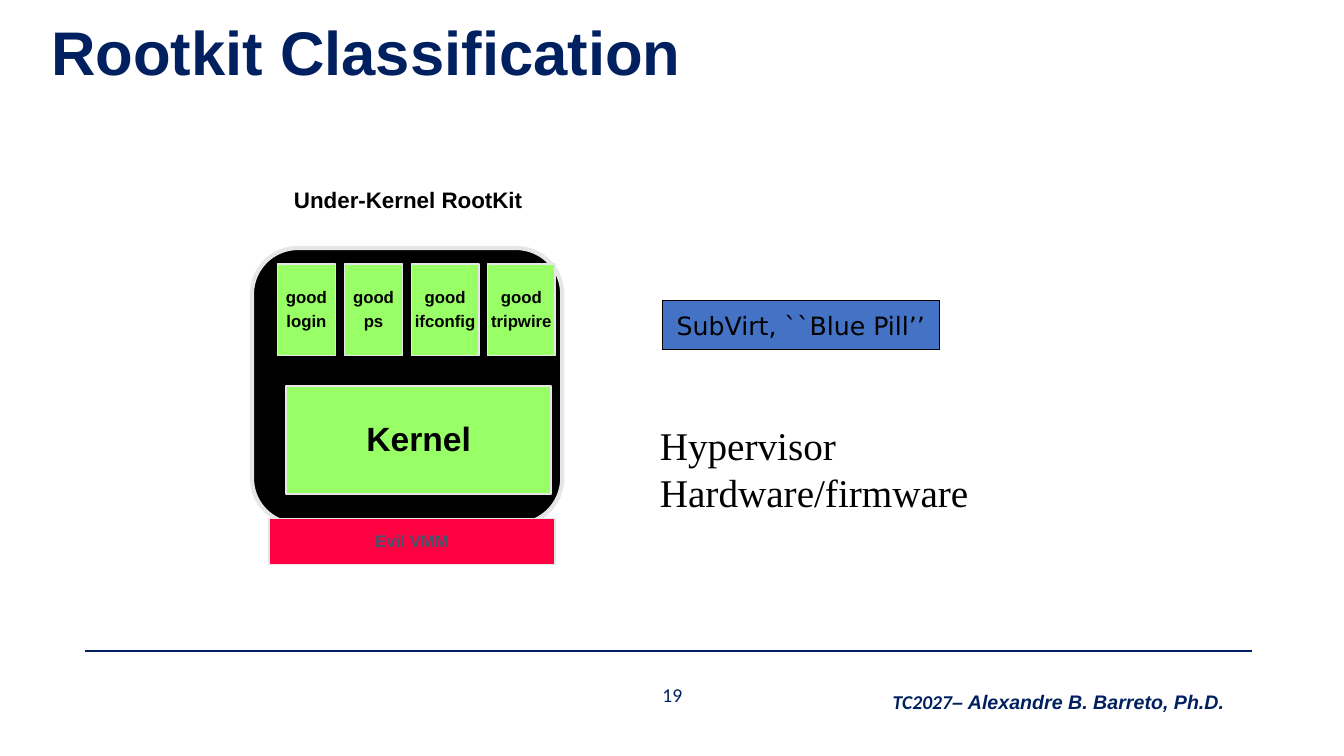
import pptx
import pptx.dml.color
import pptx.enum.shapes
import pptx.enum.text
import pptx.oxml.ns
import pptx.util
from lxml import etree

Cm = pptx.util.Cm
Pt = pptx.util.Pt
SHAPE = pptx.enum.shapes.MSO_SHAPE
ALIGN = pptx.enum.text.PP_ALIGN
ANCHOR = pptx.enum.text.MSO_ANCHOR

NAVY = "002060"
BLACK = "000000"
GREEN = "99FF66"
EDGE = "E7E6E6"


def color(hex_code):
    return pptx.dml.color.RGBColor.from_string(hex_code)


def write(frame, paragraphs, size, hex_code, font="Arial", bold=False, italic=False,
          align=ALIGN.LEFT, anchor=ANCHOR.TOP, wrap=True, spacing=None, before=0):
    """Each paragraph is a list of (text, font) runs or one plain string."""
    frame.word_wrap = wrap
    frame.vertical_anchor = anchor
    for index, content in enumerate(paragraphs):
        paragraph = frame.add_paragraph() if index else frame.paragraphs[0]
        paragraph.alignment = align
        paragraph.line_spacing = spacing
        if index and before:
            paragraph.space_before = Pt(before)
        runs = [(content, font)] if isinstance(content, str) else content
        for text, run_font in runs:
            run = paragraph.add_run()
            run.text = text
            run.font.name = run_font
            run.font.size = Pt(size)
            run.font.bold = bold
            run.font.italic = italic
            run.font.color.rgb = color(hex_code)


def add_text(slide, box, paragraphs, size, hex_code, **style):
    label = slide.shapes.add_textbox(*(Cm(v) for v in box))
    write(label.text_frame, paragraphs, size, hex_code, **style)


def add_block(slide, box, fill, line, width, kind=SHAPE.RECTANGLE):
    block = slide.shapes.add_shape(kind, *(Cm(v) for v in box))
    block.shadow.inherit = False
    block.fill.solid()
    block.fill.fore_color.rgb = color(fill)
    block.line.color.rgb = color(line)
    block.line.width = Pt(width)
    return block


def add_part(slide, box, fill, lines, size, hex_code=BLACK):
    """A labelled component of the compromised machine."""
    part = add_block(slide, box, fill, EDGE, 1)
    write(part.text_frame, lines, size, hex_code, bold=True, align=ALIGN.CENTER,
          anchor=ANCHOR.MIDDLE, wrap=False, spacing=0.95, before=0.3 * size)


def add_footer(slide, left, top, width):
    rule = slide.shapes.add_connector(pptx.enum.shapes.MSO_CONNECTOR.STRAIGHT,
                                      Cm(left), Cm(top), Cm(left + width), Cm(top))
    rule.line.color.rgb = color(NAVY)
    rule.line.width = Pt(1.5)
    properties = rule._element.spPr
    etree.SubElement(properties, pptx.oxml.ns.qn("a:effectLst"))

    add_text(slide, (left + 12.63, top + 0.84, 4.37, 0.51), ["19"], 14, NAVY,
             font="Calibri", align=ALIGN.CENTER, anchor=ANCHOR.MIDDLE)
    credit = [("TC2027", "Calibri"), ("– Alexandre B. Barreto, Ph.D.", "Arial")]
    add_text(slide, (left + 19.89, top + 0.86, 9.32, 0.86), [credit], 14, NAVY,
             bold=True, italic=True, align=ALIGN.CENTER)


def add_title(slide, box):
    add_text(slide, box, ["Rootkit Classification"], 44, NAVY, bold=True,
             anchor=ANCHOR.MIDDLE, spacing=0.9)


def add_machine(slide, left, top, width, height):
    # Machine body and its caption
    body = add_block(slide, (left, top, width, height), BLACK, EDGE, 3,
                     SHAPE.ROUNDED_RECTANGLE)
    body.adjustments[0] = 0.167
    add_text(slide, (left + 0.81, top - 1.63, 6.27, 0.89), ["Under-Kernel RootKit"],
             16, BLACK, bold=True, wrap=False, spacing=0.95)

    # Kernel
    add_part(slide, (left + 0.86, top + 3.48, 6.68, 2.72), GREEN, ["Kernel"], 24)

    # Programs in a row
    program_left = left + 0.64
    for program, program_width in (("login", 1.47), ("ps", 1.47),
                                   ("ifconfig", 1.7), ("tripwire", 1.7)):
        add_part(slide, (program_left, top + 0.4, program_width, 2.31), GREEN,
                 ["good", program], 12)
        program_left += program_width + 0.22

    # Hostile layer below the kernel
    add_part(slide, (left + 0.43, top + height - 0.15, 7.21, 1.17), "FF0043",
             ["Evil VMM"], 12, "44546A")


def add_examples(slide, left, top):
    rootkits = add_block(slide, (left + 0.31, top, 6.99, 1.24), "4472C4", BLACK, 0.75)
    write(rootkits.text_frame, ["SubVirt, ``Blue Pill’’"], 18, BLACK,
          font="DejaVu Sans", align=ALIGN.CENTER, anchor=ANCHOR.MIDDLE, wrap=False)
    add_text(slide, (left, top + 2.92, 9.27, 2.64), ["Hypervisor", "Hardware/firmware"],
             28, BLACK, font="Times New Roman")


def main():
    deck = pptx.Presentation()
    deck.slide_width = Cm(33.87)
    deck.slide_height = Cm(19.05)
    slide = deck.slides.add_slide(deck.slide_layouts[6])
    add_footer(slide, 2.13, 16.41, 29.42)
    add_title(slide, (1.04, -0.43, 29.21, 3.68))
    add_machine(slide, 6.35, 6.25, 7.82, 6.96)
    add_examples(slide, 16.38, 7.57)
    deck.save("out.pptx")


if __name__ == "__main__":
    main()
